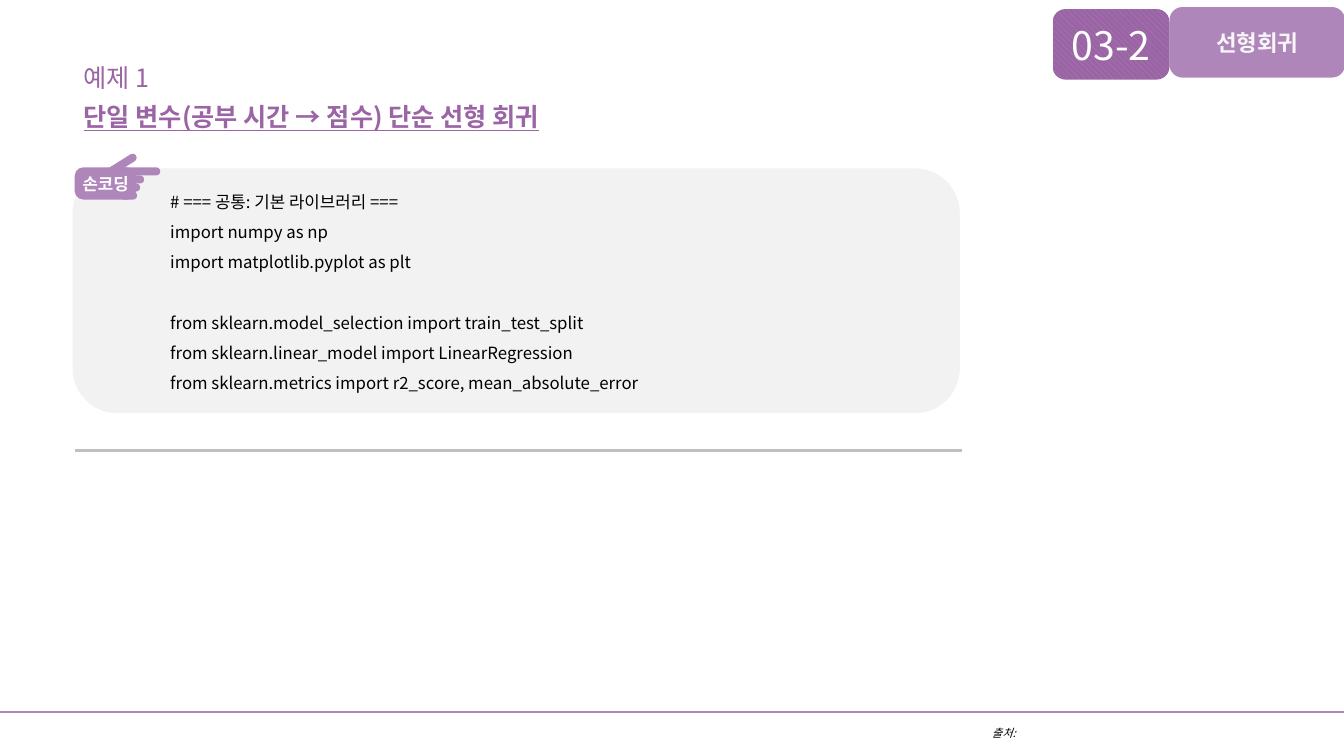
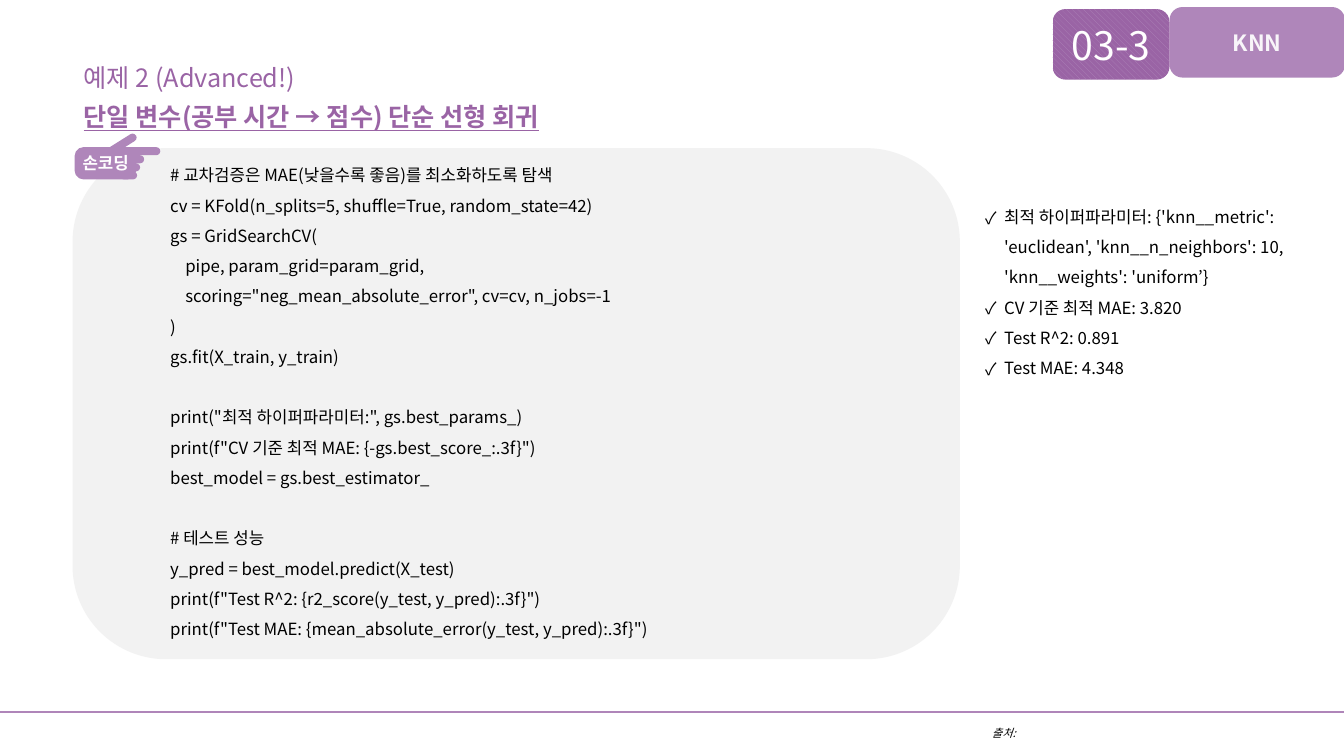
from lxml import etree
from pptx import Presentation
from pptx import util as u
from pptx.dml.color import RGBColor
from pptx.enum import dml, shapes, text
from pptx.oxml.ns import qn

FONT = "Noto Sans CJK KR"
COLORS = {
    "heading": "9A64A5",
    "accent": "AF86BA",
    "rule": "AF85B9",
    "card": "F2F2F2",
    "divider": "BFBFBF",
    "ink": "000000",
    "white": "FFFFFF",
    "tab_text": "F8F5F9",
}
TITLE_ONLY, TITLE_AND_BODY = 5, 1
CODE_SIZE = 12
CODE_GAP = 21.6  # one code line, in points
CODE_INDENT = 0.15
CARD_LEFT, CARD_WIDTH = 0.72, 8.8
HEADLINE = "단일 변수(공부 시간 → 점수) 단순 선형 회귀"

# Fingers of the pointing hand, relative to its corner: left, top, width, rotation
FINGERS = [
    (0.45, 0.24, 0.17, 0),
    (0.45, 0.16, 0.2, 0),
    (0.43, 0.08, 0.26, 0),
    (0.45, 0, 0.4, 0),
    (0.24, -0.05, 0.4, 327.9),
]

# Code is a list of blocks; a tab at the start of a line is one indent
IMPORT_CODE = [
    [
        "# === 공통: 기본 라이브러리 ===",
        "import numpy as np",
        "import matplotlib.pyplot as plt",
    ],
    [
        "from sklearn.model_selection import train_test_split",
        "from sklearn.linear_model import LinearRegression",
        "from sklearn.metrics import r2_score, mean_absolute_error",
    ],
]
SEARCH_CODE = [
    [
        "# 교차검증은 MAE(낮을수록 좋음)를 최소화하도록 탐색",
        "cv = KFold(n_splits=5, shuffle=True, random_state=42)",
        "gs = GridSearchCV(",
        "\tpipe, param_grid=param_grid,",
        '\tscoring="neg_mean_absolute_error", cv=cv, n_jobs=-1',
        ")",
        "gs.fit(X_train, y_train)",
    ],
    [
        'print("최적 하이퍼파라미터:", gs.best_params_)',
        'print(f"CV 기준 최적 MAE: {-gs.best_score_:.3f}")',
        "best_model = gs.best_estimator_",
    ],
    [
        "# 테스트 성능",
        "y_pred = best_model.predict(X_test)",
        'print(f"Test R^2: {r2_score(y_test, y_pred):.3f}")',
        'print(f"Test MAE: {mean_absolute_error(y_test, y_pred):.3f}")',
    ],
]
RESULTS = [
    "최적 하이퍼파라미터: {'knn__metric': 'euclidean', "
    "'knn__n_neighbors': 10, 'knn__weights': 'uniform’}",
    "CV 기준 최적 MAE: 3.820",
    "Test R^2: 0.891",
    "Test MAE: 4.348",
]


def color(name):
    return RGBColor.from_string(COLORS[name])


def inches(*values):
    return [u.Inches(value) for value in values]


# Text
def write(para, words, size, ink, bold=False, italic=False, underline=False):
    span = para.add_run()
    span.text = words
    font = span.font
    font.size = u.Pt(size)
    font.bold, font.italic, font.underline = bold, italic, underline
    font.color.rgb = color(ink)
    font.name = FONT
    etree.SubElement(span._r.get_or_add_rPr(), qn("a:ea"), typeface=FONT)


def next_para(frame, index, spacing=1.5):
    para = frame.add_paragraph() if index else frame.paragraphs[0]
    para.alignment = text.PP_ALIGN.LEFT
    para.line_spacing = spacing
    para.space_before = u.Pt(0)
    return para


def indent(para, left, first=0.0):
    properties = para._p.get_or_add_pPr()
    properties.set("marL", str(u.Inches(left)))
    properties.set("indent", str(u.Inches(first)))
    return properties


def add_label(page, area, words, size, ink, spacing=1.0, wrap=True, **style):
    frame = page.shapes.add_textbox(*inches(*area)).text_frame
    frame.word_wrap = wrap
    write(next_para(frame, 0, spacing), words, size, ink, **style)


def place(holder, area):
    holder.left, holder.top, holder.width, holder.height = inches(*area)
    frame = holder.text_frame
    frame.word_wrap = True
    frame.auto_size = text.MSO_AUTO_SIZE.NONE
    frame.vertical_anchor = text.MSO_ANCHOR.TOP
    return frame


# Shapes and lines
def add_round(parent, area, radius, fill="accent"):
    box = parent.shapes.add_shape(
        shapes.MSO_SHAPE.ROUNDED_RECTANGLE, *inches(*area))
    box.adjustments[0] = radius
    box.shadow.inherit = False
    box.line.fill.background()
    box.fill.solid()
    box.fill.fore_color.rgb = color(fill)
    return box


def add_rule(page, left, top, width, ink, weight):
    rule = page.shapes.add_connector(
        shapes.MSO_CONNECTOR.STRAIGHT, *inches(left, top, left + width, top))
    rule.line.color.rgb = color(ink)
    rule.line.width = u.Pt(weight)
    etree.SubElement(rule._element.spPr, qn("a:effectLst"))


# Regions
def add_heading(page, example):
    add_label(page, (0.73, 0.42, 8.39, 0.5), example, 18, "heading", 1.5)
    frame = place(page.shapes.title, (0.73, 0.96, 8.39, 0.4))
    write(next_para(frame, 0, 1.0), HEADLINE, 18, "heading",
          bold=True, underline=True)


def add_section_tabs(page, number, section):
    number_tab = add_round(page, (10.44, 0.09, 1.16, 0.7), 0.183)
    number_tab.fill.patterned()
    number_tab.fill.pattern = dml.MSO_PATTERN.WIDE_DOWNWARD_DIAGONAL
    number_tab.fill.fore_color.rgb = color("accent")
    number_tab.fill.back_color.rgb = color("heading")
    name_tab = add_round(page, (11.6, 0.07, 1.74, 0.7), 0.183)
    for tab, words, size, ink, bold in (
            (number_tab, number, 28, "white", False),
            (name_tab, section, 16, "tab_text", True)):
        para = tab.text_frame.paragraphs[0]
        para.alignment = text.PP_ALIGN.CENTER
        write(para, words, size, ink, bold=bold)


def add_footer(page):
    add_rule(page, 0, 7.06, 13.33, "rule", 1.5)
    add_label(page, (9.74, 7.16, 3.59, 0.24), "출처:", 8, "ink", italic=True)


def add_hand(page, left, top):
    hand = page.shapes.add_group_shape()
    add_round(hand, (left, top, 0.61, 0.32), 0.273)
    for across, down, width, turn in FINGERS:
        finger = add_round(hand, (left + across, top + down, width, 0.08), 0.5)
        finger.rotation = turn
    add_label(page, (left - 0.02, top + 0.01, 0.71, 0.3), "손코딩", 12,
              "white", wrap=False, bold=True)


def add_code_card(page, top, height, code_top, blocks):
    add_round(page, (CARD_LEFT, top, CARD_WIDTH, height), 0.183, "card")
    add_hand(page, CARD_LEFT + 0.02, top - 0.01)
    area = inches(CARD_LEFT + 0.87, top + code_top, 7.26, height - 2 * code_top)
    frame = page.shapes.add_textbox(*area).text_frame
    frame.word_wrap = True
    count = 0
    for block in blocks:
        for row, line in enumerate(block):
            para = next_para(frame, count)
            if count and row == 0:
                para.space_before = u.Pt(CODE_GAP)
            if line.startswith("\t"):
                indent(para, CODE_INDENT)
            write(para, line.strip(), CODE_SIZE, "ink")
            count += 1


def add_results(page, area):
    frame = place(page.placeholders[1], area)
    for index, result in enumerate(RESULTS):
        para = next_para(frame, index)
        properties = indent(para, 0.19, -0.19)
        etree.SubElement(properties, qn("a:buFont"), typeface=FONT)
        etree.SubElement(properties, qn("a:buChar"), char="✓")
        write(para, result, CODE_SIZE, "ink")


def add_page(deck, layout, example, number, section):
    page = deck.slides.add_slide(deck.slide_layouts[layout])
    add_heading(page, example)
    add_section_tabs(page, number, section)
    add_footer(page)
    return page


def main():
    deck = Presentation()
    deck.slide_width, deck.slide_height = inches(13.33, 7.5)

    # Linear regression
    page = add_page(deck, TITLE_ONLY, "예제 1", "03-2", "선형회귀")
    add_code_card(page, 1.67, 2.43, 0.08, IMPORT_CODE)
    add_rule(page, 0.74, 4.47, CARD_WIDTH, "divider", 2.25)

    # Nearest neighbours
    page = add_page(deck, TITLE_AND_BODY, "예제 2 (Advanced!)", "03-3", "KNN")
    add_code_card(page, 1.47, 5.07, 0.02, SEARCH_CODE)
    add_results(page, (9.67, 1.9, 3.66, 1.88))

    deck.save("out.pptx")


if __name__ == "__main__":
    main()
